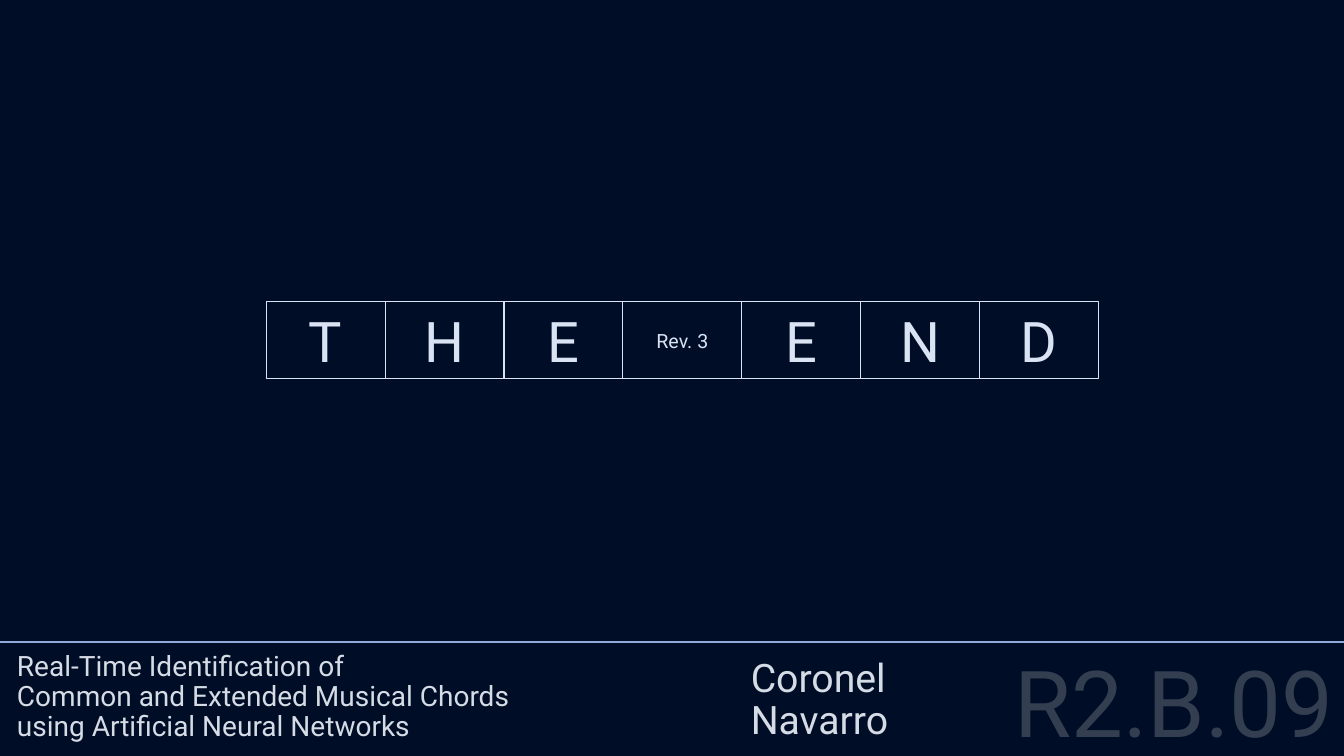
from dataclasses import dataclass

from lxml import etree
from pptx import Presentation
from pptx.dml.color import RGBColor
from pptx.enum import shapes, text
from pptx.oxml import ns
from pptx.util import Pt

FONT = "Roboto"
PALE_BLUE = "DAE3F3"
PALE_GREY = "D6DCE5"


@dataclass(frozen=True)
class Label:
    lines: tuple[str, ...]
    left: float
    top: float
    width: float
    height: float
    size: float
    color: str
    spacing: float
    before: float = 0
    align: text.PP_ALIGN = text.PP_ALIGN.LEFT
    anchor: text.MSO_ANCHOR = text.MSO_ANCHOR.BOTTOM


@dataclass(frozen=True)
class Cell:
    caption: str
    size: float = 40
    anchor: text.MSO_ANCHOR = text.MSO_ANCHOR.TOP


LABELS = (
    Label(("R2.B.09",), 609.12, 472.32, 350.64, 74.88, 66, "333F50", 0.8,
          before=10, align=text.PP_ALIGN.RIGHT, anchor=text.MSO_ANCHOR.TOP),
    Label(("Coronel", "Navarro"), 529.2, 318.96, 367.2, 215.28, 28, PALE_GREY, 0.9),
    Label(("Real-Time Identification of\nCommon and Extended Musical Chords\n"
           "using Artificial Neural Networks",),
          5.04, 318.96, 524.16, 215.28, 20, PALE_GREY, 0.9),
)
CELLS = (
    Cell("T"), Cell("H"), Cell("E"),
    Cell("Rev. 3", 14, text.MSO_ANCHOR.MIDDLE),
    Cell("E"), Cell("N"), Cell("D"),
)
ROW_LEFT, ROW_TOP, CELL_WIDTH, CELL_HEIGHT = 190.08, 215.28, 84.96, 55.44


def rgb(value: str) -> RGBColor:
    return RGBColor.from_string(value)


def style(p, size: float, color: str, align: text.PP_ALIGN) -> None:
    p.alignment = align
    p.font.name = FONT
    p.font.size = Pt(size)
    p.font.color.rgb = rgb(color)


def add_label(s, label: Label) -> None:
    sp = s.shapes.add_textbox(Pt(label.left), Pt(label.top),
                              Pt(label.width), Pt(label.height))
    tf = sp.text_frame
    tf.word_wrap = True
    tf.vertical_anchor = label.anchor
    for i, line in enumerate(label.lines):
        p = tf.add_paragraph() if i else tf.paragraphs[0]
        p.text = line
        p.line_spacing = label.spacing
        p.space_before = Pt(label.before)
        style(p, label.size, label.color, label.align)


def add_cell(s, cell: Cell, column: int) -> None:
    sp = s.shapes.add_shape(shapes.MSO_SHAPE.RECTANGLE,
                            Pt(ROW_LEFT + column * CELL_WIDTH), Pt(ROW_TOP),
                            Pt(CELL_WIDTH), Pt(CELL_HEIGHT))
    sp.shadow.inherit = False
    sp.fill.background()
    sp.line.color.rgb = rgb(PALE_BLUE)
    sp.line.width = Pt(0.75)
    tf = sp.text_frame
    tf.word_wrap = True
    tf.auto_size = text.MSO_AUTO_SIZE.SHAPE_TO_FIT_TEXT
    tf.vertical_anchor = cell.anchor
    p = tf.paragraphs[0]
    p.text = cell.caption
    style(p, cell.size, PALE_BLUE, text.PP_ALIGN.CENTER)


def add_rule(s, y: float, width: float) -> None:
    rule = s.shapes.add_connector(shapes.MSO_CONNECTOR.STRAIGHT,
                                  Pt(0), Pt(y), Pt(width), Pt(y))
    rule.line.color.rgb = rgb("8FAADC")
    rule.line.width = Pt(1.5)
    etree.SubElement(rule._element.spPr, ns.qn("a:effectLst"))


def main() -> None:
    prs = Presentation()
    prs.slide_width, prs.slide_height = Pt(960), Pt(540)
    s = prs.slides.add_slide(prs.slide_layouts[6])
    s.background.fill.solid()
    s.background.fill.fore_color.rgb = rgb("000D26")
    add_rule(s, 458.64, 960)
    for label in LABELS:
        add_label(s, label)
    for column, cell in enumerate(CELLS):
        add_cell(s, cell, column)
    prs.save("out.pptx")


if __name__ == "__main__":
    main()
